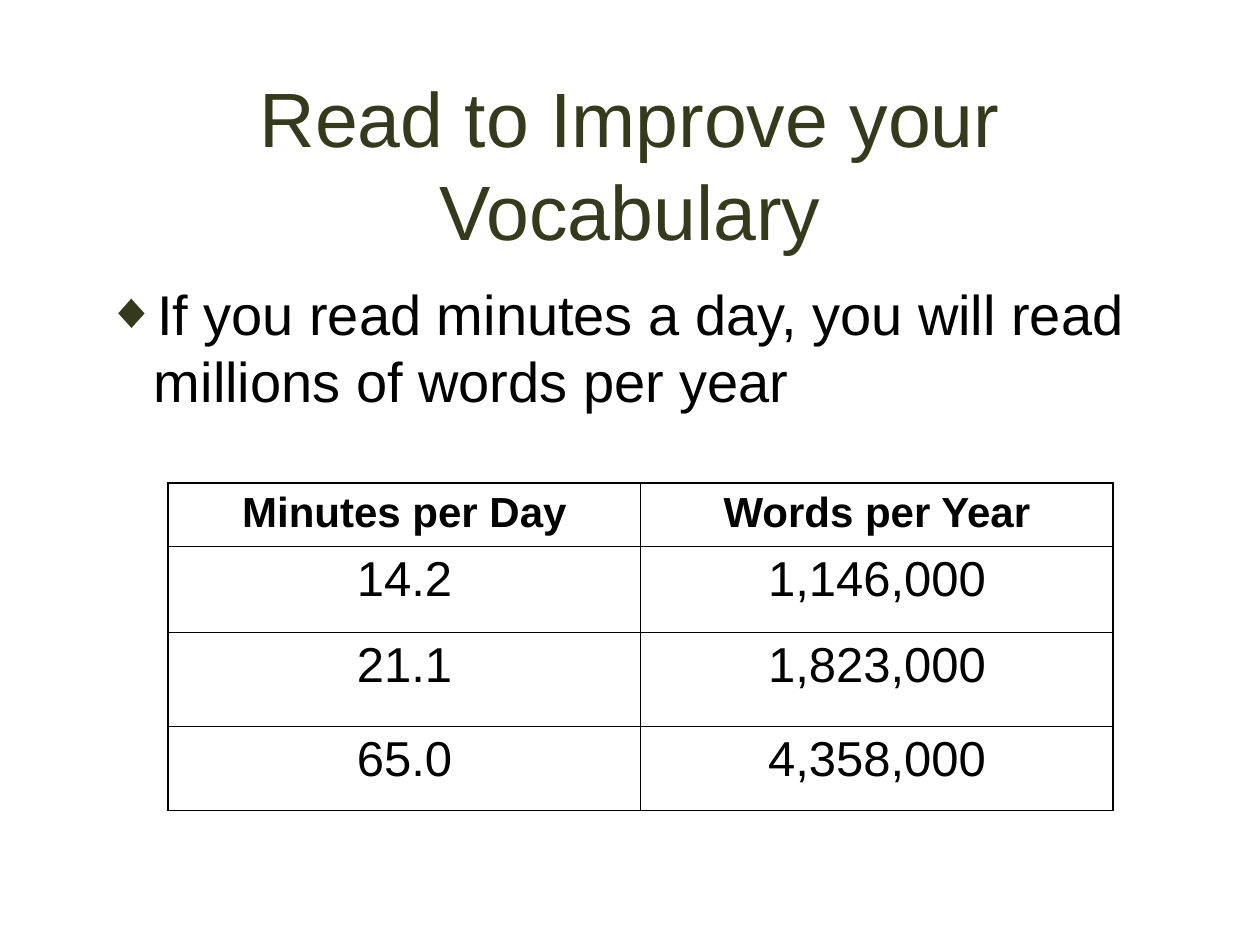
from dataclasses import dataclass

from lxml import etree
from pptx import Presentation
from pptx.dml.color import RGBColor
from pptx.enum.text import MSO_ANCHOR, MSO_AUTO_SIZE, PP_ALIGN
from pptx.oxml.ns import qn
from pptx.util import Cm, Pt


@dataclass(frozen=True)
class Theme:
    font: str = "Arial"
    accent: str = "343A1B"
    ink: str = "000000"
    title_size: int = 44
    body_size: int = 32
    header_size: int = 24
    figure_size: int = 28
    outer_line: float = 1.08
    inner_line: float = 0.45


class SlideBuilder:
    def __init__(self, slide, theme):
        self.slide = slide
        self.theme = theme

    def place(self, placeholder, left, top, width, height):
        placeholder.left, placeholder.top = Cm(left), Cm(top)
        placeholder.width, placeholder.height = Cm(width), Cm(height)
        placeholder.text_frame.auto_size = MSO_AUTO_SIZE.NONE

    def set_text(self, frame, text, size, color, align, before=0, bold=False):
        frame.text = text
        paragraph = frame.paragraphs[0]
        paragraph.alignment = align
        paragraph.space_before = Pt(before)
        font = paragraph.runs[0].font
        font.name, font.size, font.bold = self.theme.font, Pt(size), bold
        font.color.rgb = RGBColor.from_string(color)
        return paragraph

    def title(self, text, *box):
        heading = self.slide.shapes.title
        self.place(heading, *box)
        heading.text_frame.vertical_anchor = MSO_ANCHOR.MIDDLE
        self.set_text(heading.text_frame, text, self.theme.title_size,
                      self.theme.accent, PP_ALIGN.CENTER)

    def bullet(self, text, *box):
        body = self.slide.placeholders[1]
        self.place(body, *box)
        paragraph = self.set_text(body.text_frame, text, self.theme.body_size,
                                  self.theme.ink, PP_ALIGN.LEFT, before=8)
        # Diamond bullet with a hanging indent
        properties = paragraph._p.get_or_add_pPr()
        indent = Cm(0.95)
        properties.set("marL", str(indent))
        properties.set("indent", str(-indent))
        color = etree.SubElement(properties, qn("a:buClr"))
        etree.SubElement(color, qn("a:srgbClr"), val=self.theme.accent)
        etree.SubElement(properties, qn("a:buSzPct"), val="90000")
        etree.SubElement(properties, qn("a:buFont"), typeface=self.theme.font)
        etree.SubElement(properties, qn("a:buChar"), char="◆")

    def borders(self, cell, outer_sides):
        properties = cell._tc.get_or_add_tcPr()
        for position, side in enumerate("LRTB"):
            points = (self.theme.outer_line if side in outer_sides
                      else self.theme.inner_line)
            line = etree.Element(qn(f"a:ln{side}"), w=str(Pt(points)))
            fill = etree.SubElement(line, qn("a:solidFill"))
            etree.SubElement(fill, qn("a:srgbClr"), val=self.theme.ink)
            properties.insert(position, line)

    def table(self, rows, heights, left, top, width):
        last_row, last_column = len(rows) - 1, len(rows[0]) - 1
        grid = self.slide.shapes.add_table(
            len(rows), len(rows[0]), Cm(left), Cm(top), Cm(width),
            Cm(sum(heights))).table
        grid.first_row = grid.horz_banding = False
        for r, (values, height) in enumerate(zip(rows, heights)):
            grid.rows[r].height = Cm(height)
            header = r == 0
            for c, value in enumerate(values):
                cell = grid.cell(r, c)
                cell.fill.background()
                self.set_text(
                    cell.text_frame, value,
                    self.theme.header_size if header else self.theme.figure_size,
                    self.theme.ink, PP_ALIGN.CENTER,
                    before=6 if header else 7, bold=header)
                edges = {"L": c == 0, "R": c == last_column,
                         "T": header, "B": r == last_row}
                self.borders(cell, [side for side in edges if edges[side]])


def main():
    deck = Presentation()
    deck.slide_width, deck.slide_height = Cm(25.4), Cm(19.05)
    builder = SlideBuilder(deck.slides.add_slide(deck.slide_layouts[1]), Theme())

    # Heading and claim
    margin, content_width = 1.9, 21.6
    builder.title("Read to Improve your Vocabulary",
                  margin, 1.7, content_width, 3.18)
    builder.bullet("If you read minutes a day, you will read millions of words per year",
                   margin, 5.5, content_width, 11.43)

    # Reading time against words read
    reading_rows = [
        ("Minutes per Day", "Words per Year"),
        ("14.2", "1,146,000"),
        ("21.1", "1,823,000"),
        ("65.0", "4,358,000"),
    ]
    builder.table(reading_rows, [1.27, 1.73, 1.9, 1.7], 3.39, 9.74, 19.05)

    deck.save("out.pptx")


if __name__ == "__main__":
    main()
